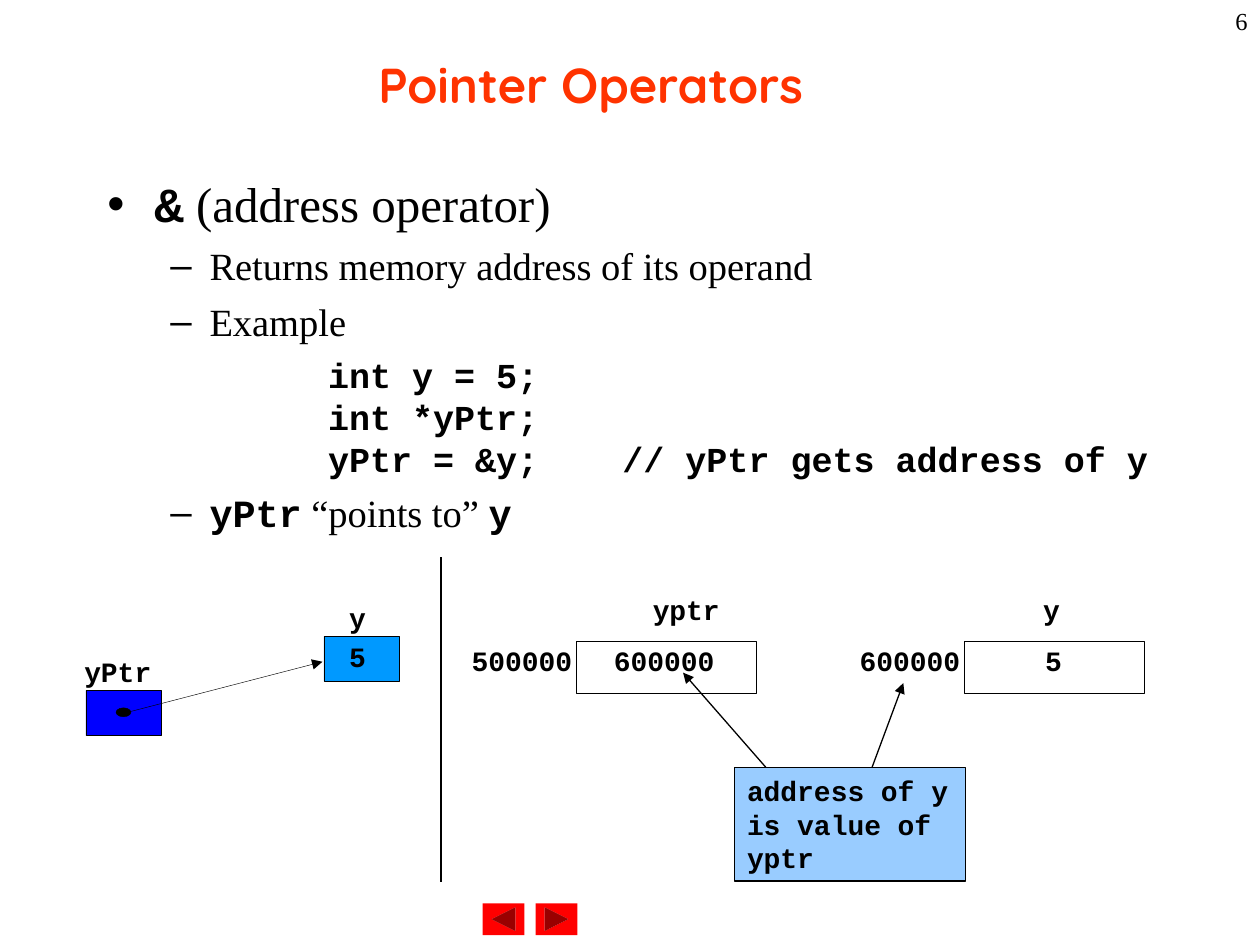
"""Build the slide that explains the address operator with two memory diagrams."""
from dataclasses import dataclass
from typing import Optional

from lxml.etree import SubElement
from pptx import Presentation
from pptx.dml.color import RGBColor
from pptx.enum.shapes import MSO_CONNECTOR, MSO_SHAPE
from pptx.enum.text import MSO_ANCHOR, MSO_AUTO_SIZE, PP_ALIGN
from pptx.oxml.ns import qn
from pptx.util import Cm, Pt


@dataclass(frozen=True)
class Theme:
    black: str = "000000"
    title: str = "FF3300"
    button: str = "FF0000"
    pointer: str = "0000FF"
    variable: str = "0099FF"
    note: str = "99CCFF"
    display: str = "Quicksand"
    serif: str = "Times New Roman"
    mono: str = "Courier New"
    heading_size: float = 28
    item_size: float = 22
    code_size: float = 20
    label_size: float = 16
    number_size: float = 14
    hairline: float = 0.26
    line: float = 0.74


@dataclass(frozen=True)
class Level:
    depth: int
    margin: float
    indent: float
    before: float
    size: float
    bullet: Optional[str]


@dataclass(frozen=True)
class Item:
    level: Level
    spans: tuple[tuple[str, bool], ...]


@dataclass(frozen=True)
class Block:
    left: float
    top: float
    width: float
    height: float
    fill: Optional[str] = None
    kind: MSO_SHAPE = MSO_SHAPE.RECTANGLE
    line: Optional[float] = None


@dataclass(frozen=True)
class Label:
    text: str
    left: float
    top: float
    spacing: float = 0.8


@dataclass(frozen=True)
class Cell:
    name: str
    name_left: float
    address: str
    value: str
    left: float


@dataclass(frozen=True)
class Link:
    start: tuple[float, float]
    end: tuple[float, float]
    width: float
    arrow: bool = True


THEME = Theme()
HEADING = Level(0, 0.95, -0.95, 7, THEME.heading_size, "•")
DETAIL = Level(1, 2.06, -0.79, 5.5, THEME.item_size, "–")
CODE = Level(3, 4.45, 0, 5, THEME.code_size, None)
ITEMS = (
    Item(HEADING, (("&", True), (" (address operator)", False))),
    Item(DETAIL, (("Returns memory address of its operand", False),)),
    Item(DETAIL, (("Example", False),)),
    Item(CODE, (("int y = 5;\nint *yPtr;\nyPtr = &y;    // yPtr gets address of y", True),)),
    Item(DETAIL, (("yPtr", True), (" “points to” ", False), ("y", True))),
)
BUTTONS = (
    Block(9.73, 18.21, 0.84, 0.64, THEME.button, MSO_SHAPE.ACTION_BUTTON_BACK_OR_PREVIOUS),
    Block(10.8, 18.21, 0.84, 0.64, THEME.button, MSO_SHAPE.ACTION_BUTTON_FORWARD_OR_NEXT),
)
POINTER_BLOCKS = (
    Block(1.73, 13.92, 1.52, 0.91, THEME.pointer, line=THEME.hairline),
    Block(6.53, 12.83, 1.52, 0.91, THEME.variable, line=THEME.hairline),
    Block(2.34, 14.27, 0.3, 0.18, THEME.black, MSO_SHAPE.OVAL, THEME.hairline),
)
POINTER_LABELS = (
    Label("yPtr", 1.7, 13.36, 0.72),
    Label("y", 7.04, 12.29, 0.72),
    Label("5", 7.04, 13.06, 0.72),
)
CELLS = (
    Cell("yptr", 13.16, "500000", "600000", 11.61),
    Cell("y", 21.03, "600000", "5", 19.43),
)
CELL_WIDTH, CELL_TOP, CELL_HEIGHT = 3.63, 12.93, 1.05
NAME_TOP, VALUE_TOP = 12.07, 13.11
CHARACTER_WIDTH, LABEL_HEIGHT = 0.35, 0.81
NOTE = Block(14.81, 15.47, 4.65, 2.29, THEME.note, line=THEME.line)
LINKS = (
    Link((2.49, 14.38), (6.5, 13.34), THEME.hairline),
    Link((8.89, 11.23), (8.89, 17.78), THEME.line, False),
    Link((17.58, 15.47), (18.21, 13.77), THEME.line),
    Link((15.44, 15.47), (13.77, 13.56), THEME.line),
)


def add_span(para, text: str, size: float, font: str = THEME.mono,
             bold: bool = True, color: str = THEME.black) -> None:
    for index, part in enumerate(text.split("\n")):
        if index:
            para.add_line_break()
        span = para.add_run()
        span.text = part
        span.font.size, span.font.name, span.font.bold = Pt(size), font, bold
        span.font.color.rgb = RGBColor.from_string(color)


def move(box, left: float, top: float, width: float, height: float) -> None:
    box.left, box.top, box.width, box.height = Cm(left), Cm(top), Cm(width), Cm(height)


def set_bullet(para, level: Level) -> None:
    properties = para._p.get_or_add_pPr()
    properties.set("marL", str(Cm(level.margin)))
    properties.set("indent", str(Cm(level.indent)))
    if level.bullet is None:
        SubElement(properties, qn("a:buNone"))
        return
    color = SubElement(properties, qn("a:buClr"))
    SubElement(color, qn("a:srgbClr")).set("val", THEME.black)
    SubElement(properties, qn("a:buChar")).set("char", level.bullet)


def fill_title(box) -> None:
    move(box, 1.91, 0.2, 21.59, 2.97)
    frame = box.text_frame
    frame.auto_size = MSO_AUTO_SIZE.NONE
    frame.vertical_anchor = MSO_ANCHOR.MIDDLE
    frame.margin_right = Cm(1.85)
    para = frame.paragraphs[0]
    para.alignment = PP_ALIGN.CENTER
    add_span(para, "Pointer Operators", THEME.heading_size, THEME.display, color=THEME.title)


def fill_body(box) -> None:
    move(box, 1.91, 3.38, 21.59, 14.61)
    frame = box.text_frame
    frame.auto_size = MSO_AUTO_SIZE.NONE
    for index, item in enumerate(ITEMS):
        para = frame.add_paragraph() if index else frame.paragraphs[0]
        para.level = item.level.depth
        para.space_before = Pt(item.level.before)
        set_bullet(para, item.level)
        for text, is_code in item.spans:
            add_span(para, text, item.level.size, THEME.mono if is_code else THEME.serif, is_code)


def add_page_number(page) -> None:
    box = page.shapes.add_textbox(Cm(20.12), Cm(0), Cm(5.28), Cm(1.27))
    box.text_frame.word_wrap = True
    para = box.text_frame.paragraphs[0]
    para.alignment, para.space_before = PP_ALIGN.RIGHT, Pt(8.8)
    add_span(para, "6", THEME.number_size, THEME.serif, False)


def add_block(page, block: Block):
    shape = page.shapes.add_shape(block.kind, Cm(block.left), Cm(block.top),
                                  Cm(block.width), Cm(block.height))
    shape.shadow.inherit = False
    if block.fill:
        shape.fill.solid()
        shape.fill.fore_color.rgb = RGBColor.from_string(block.fill)
    else:
        shape.fill.background()
    if block.line:
        shape.line.color.rgb = RGBColor.from_string(THEME.black)
        shape.line.width = Pt(block.line)
    else:
        shape.line.fill.background()
    return shape


def add_label(page, label: Label) -> None:
    box = page.shapes.add_textbox(Cm(label.left), Cm(label.top),
                                  Cm(CHARACTER_WIDTH * len(label.text)), Cm(LABEL_HEIGHT))
    frame = box.text_frame
    frame.margin_left = frame.margin_top = frame.margin_right = frame.margin_bottom = Cm(0)
    para = frame.paragraphs[0]
    para.line_spacing = label.spacing
    add_span(para, label.text, THEME.label_size)


def add_cell(page, cell: Cell) -> None:
    add_block(page, Block(cell.left, CELL_TOP, CELL_WIDTH, CELL_HEIGHT, line=THEME.hairline))
    value_left = cell.left + (CELL_WIDTH - CHARACTER_WIDTH * len(cell.value)) / 2
    address_left = cell.left - CHARACTER_WIDTH * len(cell.address)
    add_label(page, Label(cell.name, cell.name_left, NAME_TOP))
    add_label(page, Label(cell.address, address_left, VALUE_TOP))
    add_label(page, Label(cell.value, value_left, VALUE_TOP))


def add_note(page) -> None:
    frame = add_block(page, NOTE).text_frame
    frame.word_wrap, frame.vertical_anchor = True, MSO_ANCHOR.TOP
    para = frame.paragraphs[0]
    para.alignment, para.space_before = PP_ALIGN.LEFT, Pt(10)
    add_span(para, "address of y is value of yptr", THEME.label_size)


def add_link(page, link: Link) -> None:
    connector = page.shapes.add_connector(
        MSO_CONNECTOR.STRAIGHT, *map(Cm, link.start + link.end))
    connector.line.color.rgb = RGBColor.from_string(THEME.black)
    connector.line.width = Pt(link.width)
    if link.arrow:
        SubElement(connector.line._get_or_add_ln(), qn("a:tailEnd")).set("type", "triangle")
    SubElement(connector._element.spPr, qn("a:effectLst"))


def main() -> None:
    deck = Presentation()
    deck.slide_width, deck.slide_height = Cm(25.4), Cm(19.05)
    page = deck.slides.add_slide(deck.slide_layouts[1])
    fill_title(page.shapes.title)
    fill_body(page.placeholders[1])
    add_page_number(page)
    for block in BUTTONS + POINTER_BLOCKS:
        add_block(page, block)
    for label in POINTER_LABELS:
        add_label(page, label)
    for cell in CELLS:
        add_cell(page, cell)
    add_note(page)
    for link in LINKS:
        add_link(page, link)
    deck.save("out.pptx")


main()
